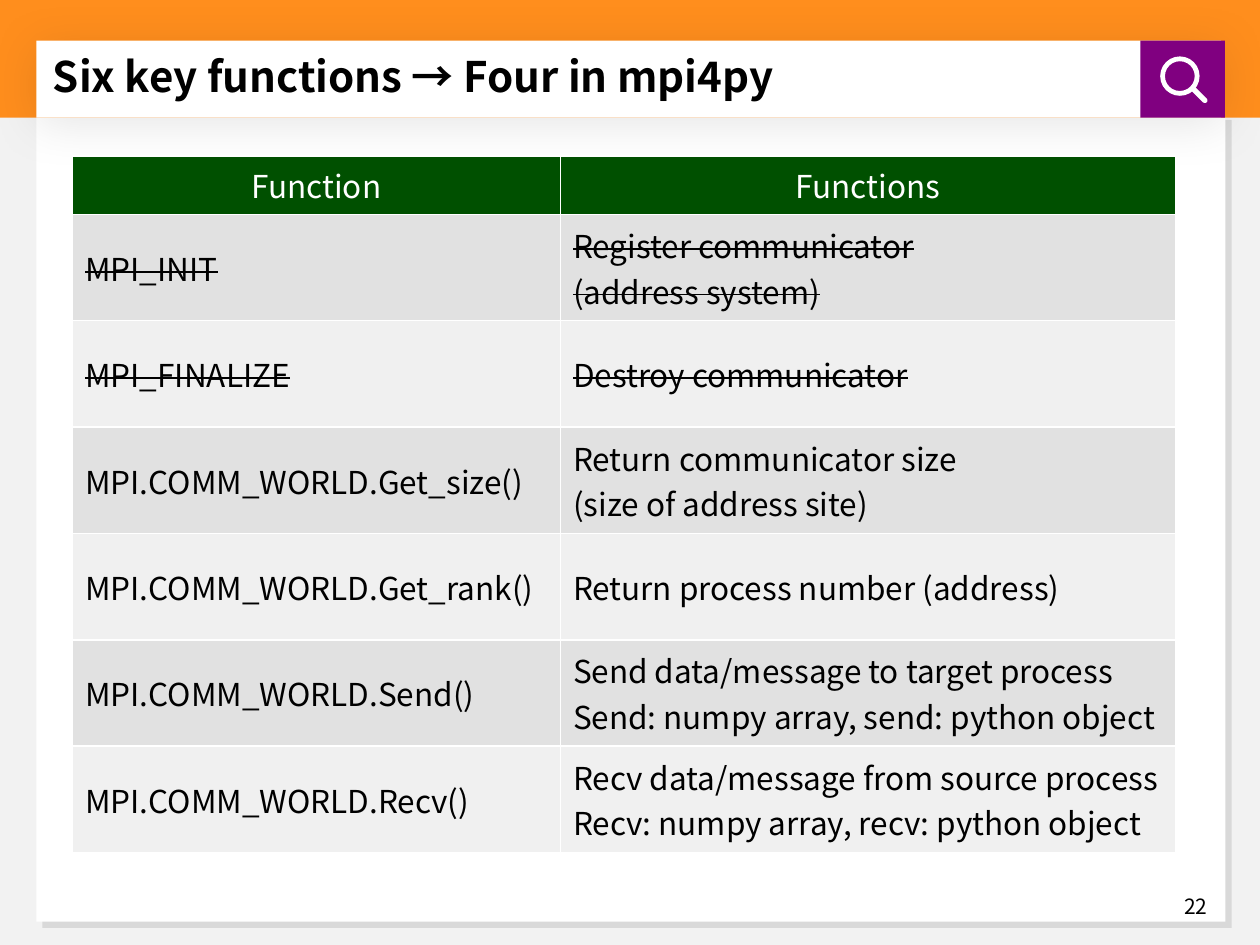
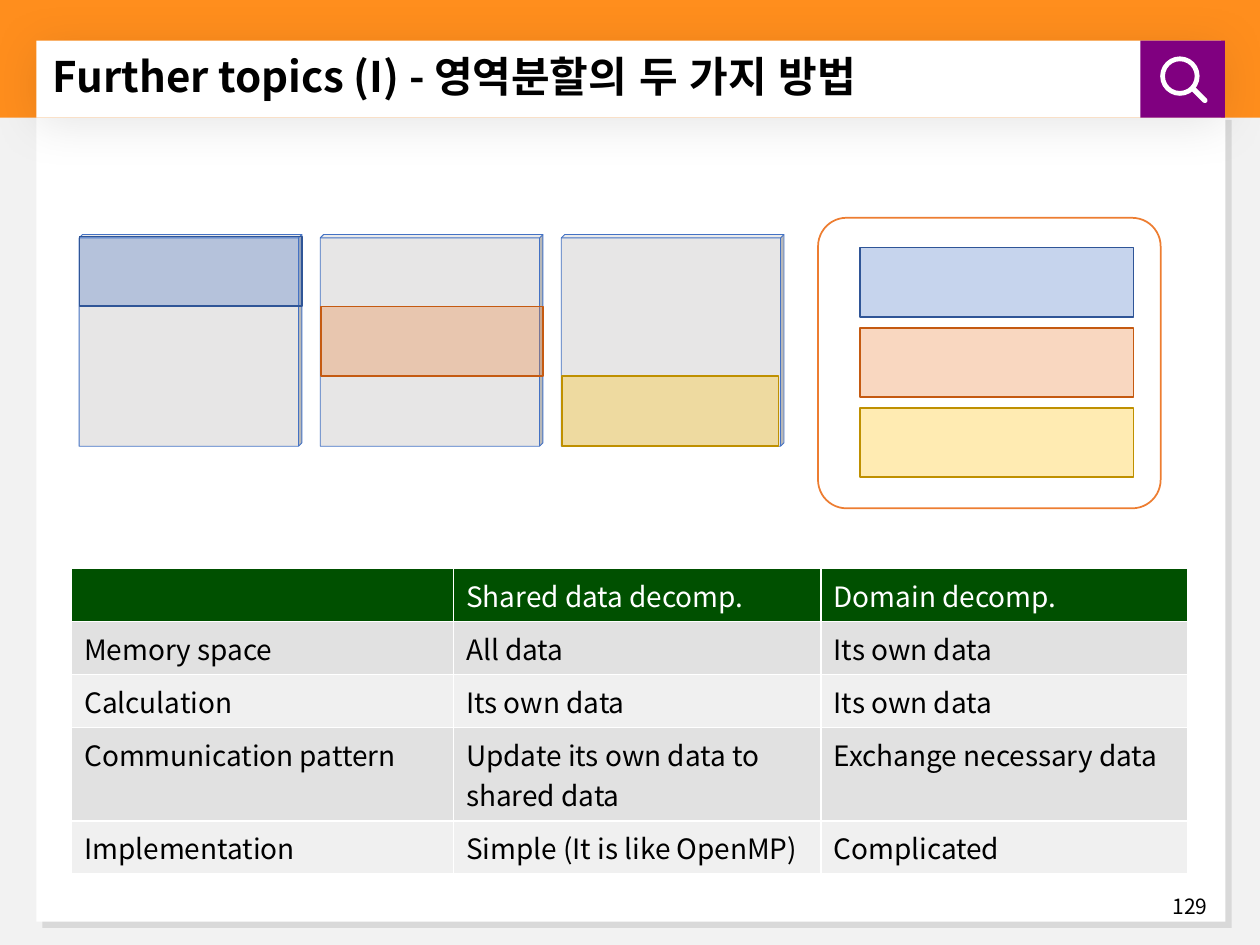
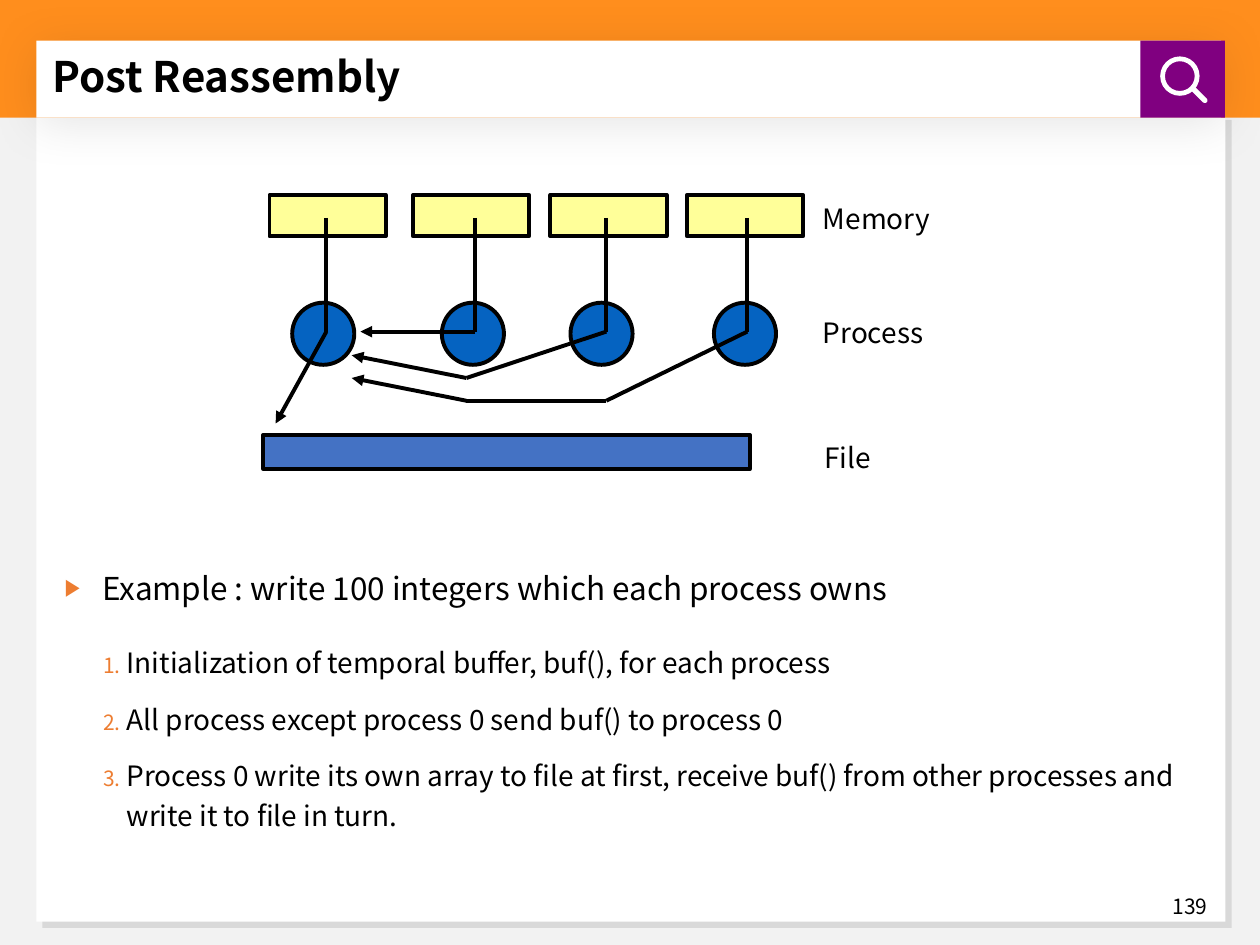
from lxml import etree
from pptx import Presentation
from pptx.dml.color import RGBColor
from pptx.enum.lang import MSO_LANGUAGE_ID
from pptx.enum.shapes import MSO_CONNECTOR, MSO_SHAPE
from pptx.enum.text import MSO_ANCHOR, MSO_AUTO_SIZE, PP_ALIGN
from pptx.oxml.ns import qn
from pptx.util import Pt

RECTANGLE, ROUNDED = MSO_SHAPE.RECTANGLE, MSO_SHAPE.ROUNDED_RECTANGLE
OVAL, DONUT, CUBE = MSO_SHAPE.OVAL, MSO_SHAPE.DONUT, MSO_SHAPE.CUBE
STRAIGHT = MSO_CONNECTOR.STRAIGHT
LEFT, CENTER, RIGHT = PP_ALIGN.LEFT, PP_ALIGN.CENTER, PP_ALIGN.RIGHT
TOP, MIDDLE = MSO_ANCHOR.TOP, MSO_ANCHOR.MIDDLE
NO_AUTOFIT = MSO_AUTO_SIZE.NONE
KOREAN = MSO_LANGUAGE_ID.KOREAN

FONT, BULLET_FONT = "Noto Sans CJK KR", "Arial"
COLORS = {
    "black": "000000", "white": "FFFFFF", "backdrop": "F2F2F2",
    "banner": "FF8E1D", "badge": "800080", "header": "005000",
    "odd row": "E1E1E1", "even row": "F0F0F0", "accent": "ED7D31",
    "cube": "E7E6E6", "blue": "4472C4", "dark blue": "2F5597",
    "dark orange": "C55A11", "gold": "FFC000", "dark gold": "BF9000",
    "memory": "FFFF99", "process": "0563C1",
}
TITLE_ONLY, TITLE_AND_CONTENT = 5, 1


def color(name):
    return RGBColor.from_string(COLORS[name])


def points(*values):
    return [Pt(value) for value in values]


def add_xml(parent, tag, **attributes):
    child = etree.SubElement(parent, qn(tag))
    for key, value in attributes.items():
        child.set(key, str(value))
    return child


def add_span(para, text, size, ink="black", bold=False, strike=False):
    span = para.add_run()
    span.text = text
    span.font.size = Pt(size)
    span.font.bold = bold
    span.font.color.rgb = color(ink)
    span.font.name = FONT
    properties = span.font._element
    add_xml(properties, "a:ea", typeface=FONT)
    if strike:
        properties.set("strike", "sngStrike")
    return span


def add_box(slide, kind, frame, fill=None, line=None, weight=1, alpha=None, adjust=None):
    """Add a preset shape; frame is left, top, width, height in points."""
    box = slide.shapes.add_shape(kind, *points(*frame))
    box.shadow.inherit = False
    if adjust is not None:
        box.adjustments[0] = adjust
    if fill:
        box.fill.solid()
        box.fill.fore_color.rgb = color(fill)
        if alpha:
            tint = box.fill._xPr.find(".//" + qn("a:srgbClr"))
            add_xml(tint, "a:alpha", val=alpha * 1000)
    else:
        box.fill.background()
    if line:
        box.line.color.rgb = color(line)
        box.line.width = Pt(weight)
    else:
        box.line.fill.background()
    return box


def cast_shadow(box, blur, distance, angle):
    effects = box.element.spPr.find(qn("a:effectLst"))
    shadow = add_xml(effects, "a:outerShdw", blurRad=Pt(blur), dist=Pt(distance),
                     dir=angle * 60000, algn="tl", rotWithShape=0)
    tint = add_xml(shadow, "a:srgbClr", val=COLORS["black"])
    add_xml(tint, "a:alpha", val=10000)


def add_line(slide, start, end, arrow=False):
    line = slide.shapes.add_connector(STRAIGHT, *points(*start, *end))
    line.line.color.rgb = color("black")
    line.line.width = Pt(2.25)
    if arrow:
        add_xml(line.line._get_or_add_ln(), "a:tailEnd", type="triangle")
    add_xml(line.element.spPr, "a:effectLst")


def add_label(slide, text, frame, size, align=LEFT, inset=None, wrap=True):
    box = slide.shapes.add_textbox(*points(*frame))
    area = box.text_frame
    area.word_wrap = wrap
    area.vertical_anchor = MIDDLE
    if inset is not None:
        area.margin_left = area.margin_right = Pt(inset)
        area.margin_top = area.margin_bottom = Pt(inset)
    para = area.paragraphs[0]
    para.alignment = align
    add_span(para, text, size)


def draw_master(deck, slide):
    """Draw the shared bands and search badge, then move them to the master."""
    backdrop = add_box(slide, RECTANGLE, (0, 50, 720, 490), "backdrop")
    sheet = add_box(slide, RECTANGLE, (20.75, 65, 679.5, 461.75), "white")
    cast_shadow(sheet, 0, 5, 45)
    banner = add_box(slide, RECTANGLE, (0, 0, 720, 67.25), "banner")
    title_bar = add_box(slide, RECTANGLE, (20.75, 23.25, 677, 44), "white")
    cast_shadow(title_bar, 27, 3, 90)
    badge = add_box(slide, RECTANGLE, (651.75, 23.25, 48.25, 44), "badge")
    lens = add_box(slide, DONUT, (663, 32.25, 22.5, 22.5), "white", adjust=0.122)
    handle = add_box(slide, ROUNDED, (683.75, 48, 3, 12.25), "white", adjust=0.5)
    handle.rotation = 315
    tree = deck.slide_master.shapes.element
    parts = (backdrop, sheet, banner, title_bar, badge, lens, handle)
    for number, part in enumerate(parts, start=101):
        part.element.nvSpPr.cNvPr.set("id", str(number))
        tree.append(part.element)


def place(holder, frame, anchor):
    holder.left, holder.top, holder.width, holder.height = points(*frame)
    area = holder.text_frame
    area.word_wrap = True
    area.auto_size = NO_AUTOFIT
    area.vertical_anchor = anchor
    return area


def add_page(deck, layout, title, number):
    slide = deck.slides.add_slide(deck.slide_layouts[layout])
    area = place(slide.shapes.title, (23, 25, 636, 40), MIDDLE)
    para = area.paragraphs[0]
    para.alignment = LEFT
    para.line_spacing = 0.9
    span = add_span(para, title, 24, bold=True)
    span.font.language_id = KOREAN
    add_label(slide, number, (540, 510.5, 157, 15), 12, RIGHT)
    return slide


def add_borders(cell):
    properties = cell._tc.get_or_add_tcPr()
    for side in "LRTB":
        border = add_xml(properties, "a:ln" + side, w=Pt(1))
        fill = add_xml(border, "a:solidFill")
        add_xml(fill, "a:srgbClr", val=COLORS["white"])


def fill_cell(cell, text, size, ink, align, strike):
    """Write text; a newline starts a paragraph, a vertical tab breaks a line."""
    area = cell.text_frame
    for index, line in enumerate(text.split("\n")):
        para = area.add_paragraph() if index else area.paragraphs[0]
        para.alignment = align
        for part_index, part in enumerate(line.split("\v")):
            if part_index:
                para.add_line_break()
            if part:
                add_span(para, part, size, ink, strike=strike)


def add_grid(slide, corner, widths, heights, rows, size, anchor,
             header_align=LEFT, struck_rows=()):
    frame = slide.shapes.add_table(len(rows), len(widths), *points(
        *corner, sum(widths), sum(heights)))
    grid = frame.table
    for column, width in zip(grid.columns, widths):
        column.width = Pt(width)
    for index, (row, height, texts) in enumerate(zip(grid.rows, heights, rows)):
        row.height = Pt(height)
        is_header = index == 0
        fill = "header" if is_header else "odd row" if index % 2 else "even row"
        for cell, text in zip(row.cells, texts):
            add_borders(cell)
            cell.fill.solid()
            cell.fill.fore_color.rgb = color(fill)
            cell.vertical_anchor = anchor
            fill_cell(cell, text, size, "white" if is_header else "black",
                      header_align if is_header else LEFT, index in struck_rows)


def add_item(area, text, size, margin, indent, spacing, level=0):
    """Add a list item: a triangle at level 0, a number at level 1."""
    is_first = not area.text
    para = area.paragraphs[0] if is_first else area.add_paragraph()
    para.level = level
    para.line_spacing = spacing
    para.space_before = Pt(0 if is_first else 9)
    para.space_after = Pt(0)
    properties = para._p.get_or_add_pPr()
    properties.set("marL", str(Pt(margin)))
    properties.set("indent", str(Pt(-indent)))
    tint = add_xml(properties, "a:buClr")
    add_xml(tint, "a:srgbClr", val=COLORS["accent"])
    add_xml(properties, "a:buSzPct", val=75000)
    add_xml(properties, "a:buFont", typeface=FONT if level else BULLET_FONT)
    if level:
        add_xml(properties, "a:buAutoNum", type="arabicPeriod")
    else:
        add_xml(properties, "a:buChar", char="▶")
    add_span(para, text, size)


def fill_functions_page(slide):
    rows = [
        ("Function", "Functions"),
        ("MPI_INIT", "Register communicator\v(address system)"),
        ("MPI_FINALIZE", "Destroy communicator"),
        ("MPI.COMM_WORLD.Get_size()",
         "Return communicator size\n(size of address site)"),
        ("MPI.COMM_WORLD.Get_rank()", "Return process number (address)"),
        ("MPI.COMM_WORLD.Send()",
         "Send data/message to target process\nSend: numpy array, send: python object"),
        ("MPI.COMM_WORLD.Recv()",
         "Recv data/message from source process\nRecv: numpy array, recv: python object"),
    ]
    add_grid(slide, (41.5, 89), (278.75, 351.5), [33.5] + [60.8] * 6, rows, 18,
             MIDDLE, header_align=CENTER, struck_rows=(1, 2))


def fill_decomposition_page(slide):
    bands = [("blue", "dark blue", 127.25), ("accent", "dark orange", 127.25),
             ("gold", "dark gold", 124)]
    for index, (fill, line, width) in enumerate(bands):
        left = 45.25 + 137.75 * index
        add_box(slide, CUBE, (left, 134, 127.25, 121), "cube", "blue", 0.5, adjust=0.016)
        add_box(slide, RECTANGLE, (left + 0.25, 135.25 + 39.9 * index, width, 39.75),
                fill, line, alpha=30)
        add_box(slide, RECTANGLE, (491.5, 141.5 + 45.75 * index, 156.25, 39.75),
                fill, line, alpha=30)
    rows = [
        ("", "Shared data decomp.", "Domain decomp."),
        ("Memory space", "All data", "Its own data"),
        ("Calculation", "Its own data", "Its own data"),
        ("Communication pattern", "Update its own data to shared data",
         "Exchange necessary data"),
        ("Implementation", "Simple (It is like OpenMP)", "Complicated"),
    ]
    add_grid(slide, (41, 325), (218.25, 210, 209.5), (30.25, 30.25, 30.25, 53.5, 30.25),
             rows, 16, TOP)
    add_box(slide, ROUNDED, (467.5, 124.5, 195.75, 166), line="accent", adjust=0.098)


def draw_reassembly(slide):
    labels = [("Memory", 470.25, 118), ("Process", 470.25, 183.25), ("File", 471, 255)]
    for text, left, top in labels:
        add_label(slide, text, (left, top, 62, 13), 16, inset=0, wrap=False)
    link_top, link_bottom = 124.5, 189.5
    # memory left, process left, link x, points that the data passes
    columns = [
        (154, 167, 186.5, [(157.5, 242)]),
        (236, 252.5, 271.5, [(206, link_bottom)]),
        (314.5, 326, 346.5, [(266.5, 216), (201, 203)]),
        (392.5, 408, 427, [(346.5, 229), (266.5, 229), (201, 216)]),
    ]
    for memory_left, process_left, link, route in columns:
        add_box(slide, RECTANGLE, (memory_left, 111.5, 66.5, 23.5),
                "memory", "black", 2.25)
        add_box(slide, OVAL, (process_left, 173, 35.5, 35.5), "process", "black", 2.25)
        start = (link, link_bottom)
        add_line(slide, (link, link_top), start)
        for stop in route:
            add_line(slide, start, stop, arrow=stop == route[-1])
            start = stop
    add_box(slide, RECTANGLE, (150.5, 248.5, 278, 19.5), "blue", "black", 2.25)


def fill_reassembly_page(slide):
    area = place(slide.placeholders[1], (23, 321.5, 674.5, 187), TOP)
    add_item(area, "Example : write 100 integers which each process owns",
             18, 28.25, 21.5, 1.0)
    steps = [
        ("Initialization of temporal buffer, buf(), for each process", 1.7),
        ("All process except process 0 send buf() to process 0", 1.2),
        ("Process 0 write its own array to file at first, receive buf() from "
         "other processes and write it to file in turn.", 1.2),
    ]
    for text, spacing in steps:
        add_item(area, text, 16, 42.25, 13.5, spacing, level=1)
    draw_reassembly(slide)


def main():
    deck = Presentation()
    deck.slide_width, deck.slide_height = points(720, 540)

    functions = add_page(deck, TITLE_ONLY, "Six key functions → Four in mpi4py", "22")
    draw_master(deck, functions)
    fill_functions_page(functions)

    decomposition = add_page(
        deck, TITLE_ONLY, "Further topics (I) - 영역분할의 두 가지 방법", "129")
    fill_decomposition_page(decomposition)

    reassembly = add_page(deck, TITLE_AND_CONTENT, "Post Reassembly", "139")
    fill_reassembly_page(reassembly)

    deck.save("out.pptx")


if __name__ == "__main__":
    main()
